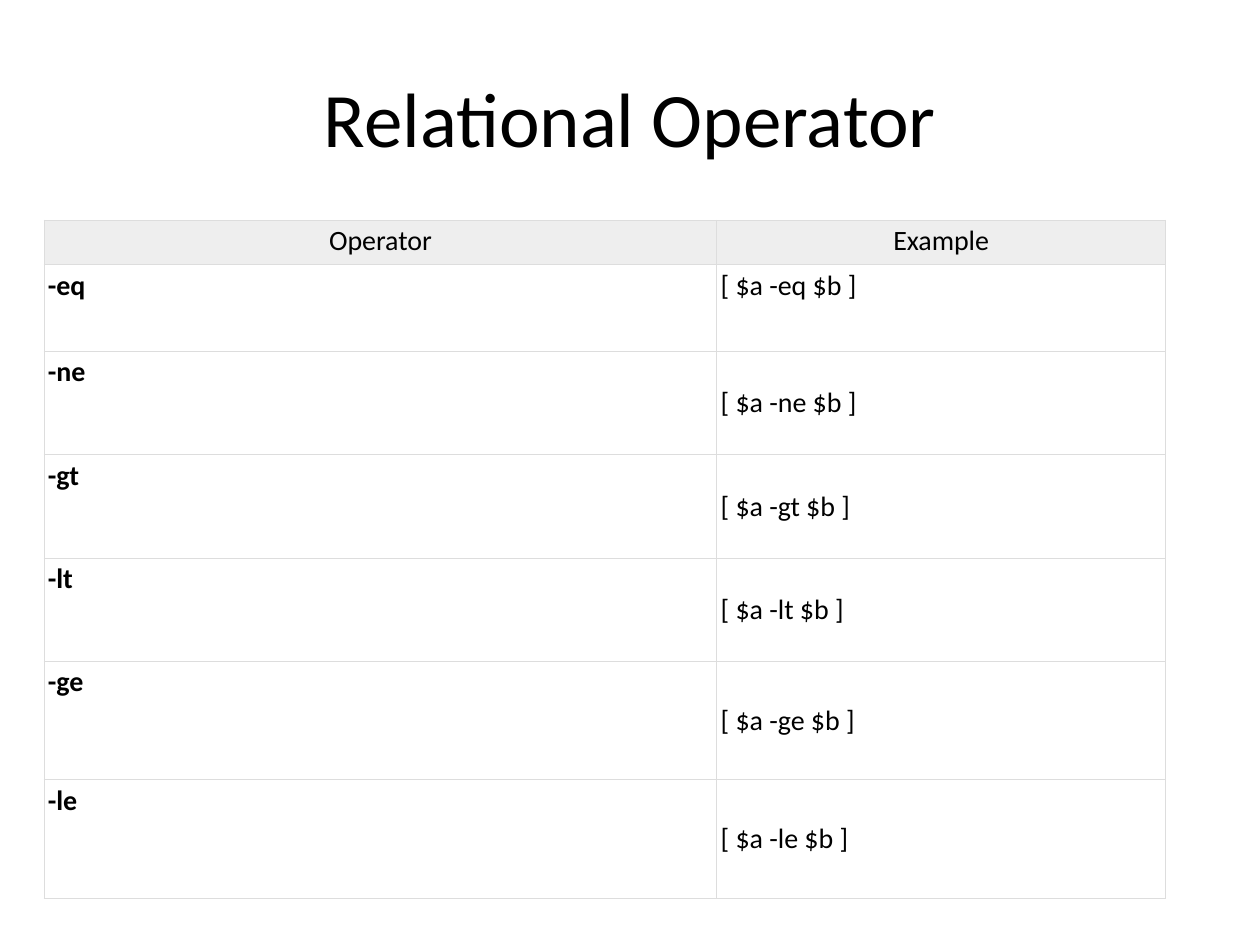
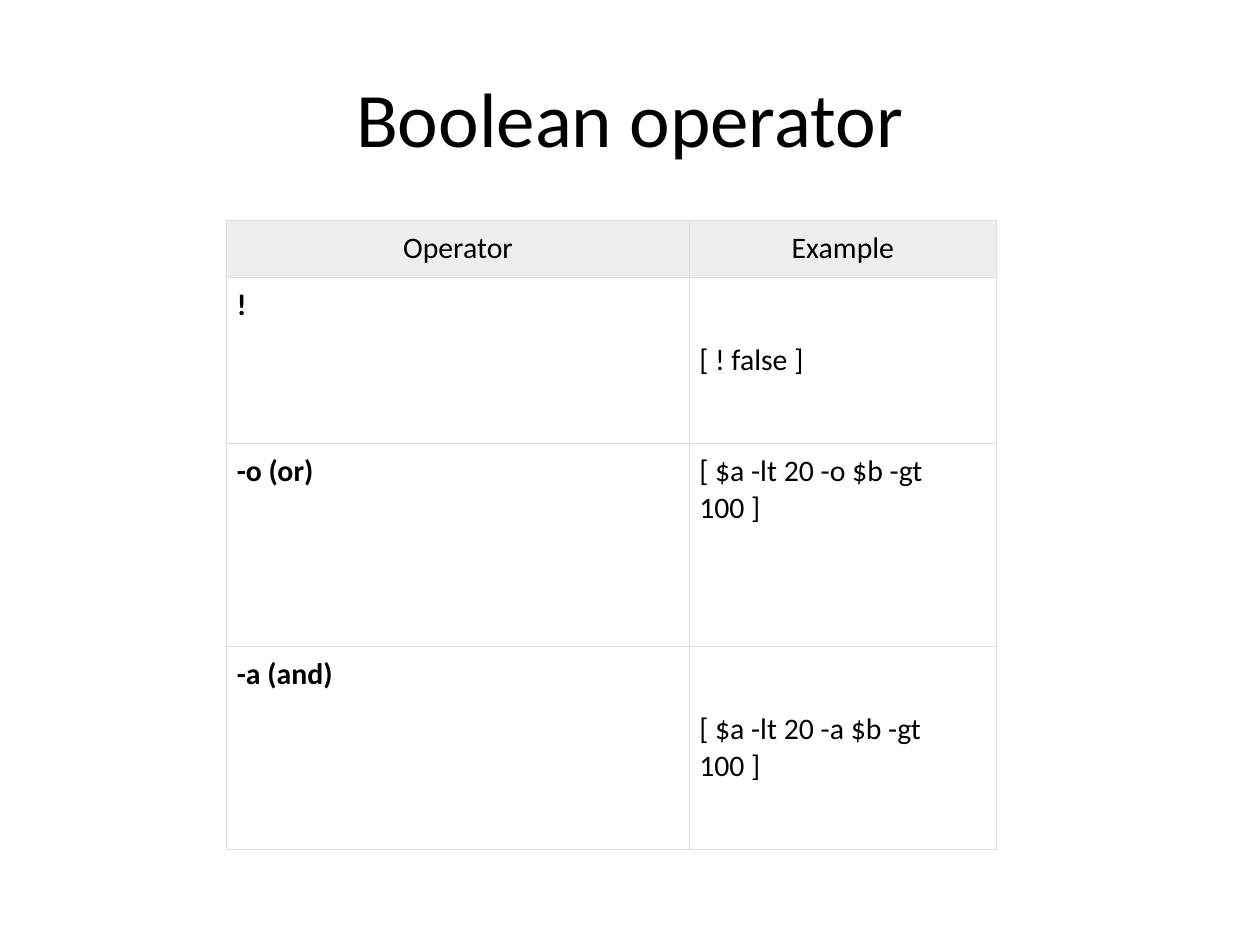
from dataclasses import dataclass

from lxml import etree
from pptx import Presentation
from pptx import util as u
from pptx.dml import color
from pptx.enum import text as t
from pptx.oxml import ns

COLOURS = {"ink": "000000", "header": "EEEEEE", "border": "DDDDDD"}
FONT = "Calibri"
TITLE_SIZE = 44
BORDER_WIDTH = 0.75
TABLE_TOP = 1.75
HEADINGS = ("Operator", "Example")
TOP, MIDDLE = t.MSO_ANCHOR.TOP, t.MSO_ANCHOR.MIDDLE


@dataclass(frozen=True)
class Operator:
    name: str
    example: str
    height: float
    anchor: t.MSO_ANCHOR = MIDDLE


@dataclass(frozen=True)
class OperatorSlide:
    title: str
    left: float
    widths: tuple[float, float]
    header_height: float
    inset: float
    size: int
    operators: tuple[Operator, ...]


def comparison(name: str, height: float, anchor: t.MSO_ANCHOR = MIDDLE) -> Operator:
    """Describe an operator that compares two variables."""
    return Operator(name, f"[ $a {name} $b ]", height, anchor)


def logical(name: str, word: str, anchor: t.MSO_ANCHOR = MIDDLE) -> Operator:
    """Describe an operator that joins two conditions."""
    return Operator(f"{name} ({word})", f"[ $a -lt 20 {name} $b -gt 100 ]", 1.61, anchor)


SLIDES = (
    OperatorSlide(
        "Relational Operator", 0.35, (5.34, 3.56), 0.35, 0.03, 16,
        (
            comparison("-eq", 0.69, TOP),
            comparison("-ne", 0.82),
            comparison("-gt", 0.82),
            comparison("-lt", 0.82),
            comparison("-ge", 0.94),
            comparison("-le", 0.94),
        ),
    ),
    OperatorSlide(
        "Boolean operator", 1.8, (3.67, 2.44), 0.45, 0.08, 17,
        (
            Operator("!", "[ ! false ]", 1.32),
            logical("-o", "or", TOP),
            logical("-a", "and"),
        ),
    ),
)


def write(frame, words: str, size: int, bold: bool = False, centred: bool = False) -> None:
    """Write one styled run into the first paragraph of a text frame."""
    para = frame.paragraphs[0]
    para.alignment = t.PP_ALIGN.CENTER if centred else t.PP_ALIGN.LEFT
    span = para.add_run()
    span.text = words
    span.font.name = FONT
    span.font.size = u.Pt(size)
    span.font.bold = bold
    span.font.color.rgb = color.RGBColor.from_string(COLOURS["ink"])


def add_borders(cell) -> None:
    """Give a cell the same thin line on all four sides."""
    properties = cell._tc.get_or_add_tcPr()
    for side in ("lnL", "lnR", "lnT", "lnB"):
        line = etree.SubElement(properties, ns.qn(f"a:{side}"), w=str(u.Pt(BORDER_WIDTH)))
        fill = etree.SubElement(line, ns.qn("a:solidFill"))
        etree.SubElement(fill, ns.qn("a:srgbClr"), val=COLOURS["border"])


def format_cell(cell, inset: float, anchor: t.MSO_ANCHOR, header: bool) -> None:
    """Set the borders, fill, margins and anchor of a cell."""
    add_borders(cell)
    if header:
        cell.fill.solid()
        cell.fill.fore_color.rgb = color.RGBColor.from_string(COLOURS["header"])
    else:
        cell.fill.background()
    cell.margin_left = cell.margin_right = u.Inches(inset)
    cell.margin_top = cell.margin_bottom = u.Inches(inset)
    cell.vertical_anchor = anchor


def add_title(page, words: str) -> None:
    """Place and fill the title placeholder."""
    title = page.shapes.title
    title.left, title.top = u.Inches(0.5), u.Inches(0.3)
    title.width, title.height = u.Inches(9), u.Inches(1.25)
    title.text_frame.vertical_anchor = MIDDLE
    write(title.text_frame, words, TITLE_SIZE, centred=True)


def add_operator_table(page, content: OperatorSlide) -> None:
    """Draw the header row and one row for each operator."""
    heights = [content.header_height, *(item.height for item in content.operators)]
    table = page.shapes.add_table(
        len(heights), len(HEADINGS), u.Inches(content.left), u.Inches(TABLE_TOP),
        u.Inches(sum(content.widths)), u.Inches(sum(heights)),
    ).table
    table.first_row = table.horz_banding = False
    for column, width in zip(table.columns, content.widths):
        column.width = u.Inches(width)
    for row, height in zip(table.rows, heights):
        row.height = u.Inches(height)

    for index, heading in enumerate(HEADINGS):
        cell = table.cell(0, index)
        format_cell(cell, content.inset, TOP, header=True)
        write(cell.text_frame, heading, content.size, centred=True)
    for index, item in enumerate(content.operators, start=1):
        name, example = table.cell(index, 0), table.cell(index, 1)
        format_cell(name, content.inset, TOP, header=False)
        format_cell(example, content.inset, item.anchor, header=False)
        write(name.text_frame, item.name, content.size, bold=True)
        write(example.text_frame, item.example, content.size)


def main() -> None:
    """Build and save the deck."""
    deck = Presentation()
    deck.slide_width, deck.slide_height = u.Inches(10), u.Inches(7.5)
    for content in SLIDES:
        page = deck.slides.add_slide(deck.slide_layouts[5])
        add_title(page, content.title)
        add_operator_table(page, content)
    deck.save("out.pptx")


if __name__ == "__main__":
    main()
